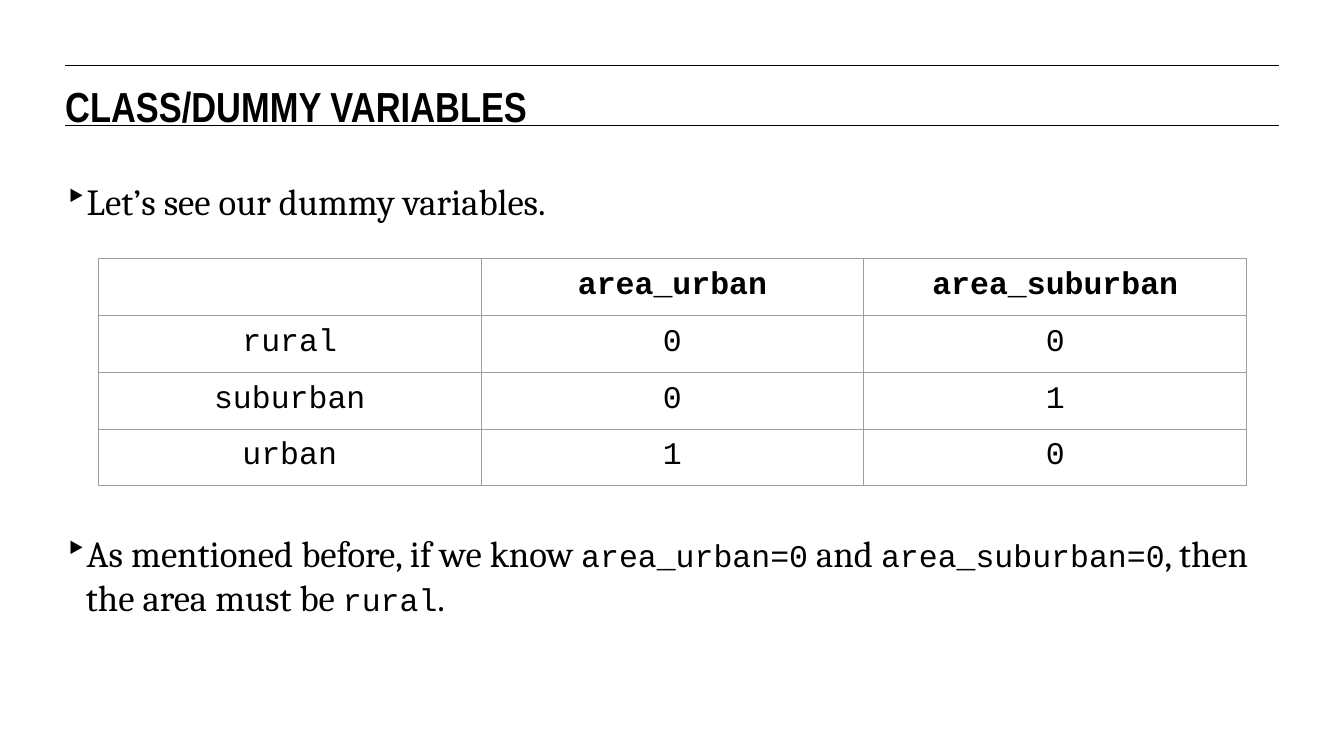
from lxml import etree
from pptx import Presentation
from pptx.dml.color import RGBColor
from pptx.enum import shapes, text
from pptx.oxml import ns
from pptx.util import Inches, Pt

TITLE = "CLASS/DUMMY VARIABLES"
ROWS = [
    ("", "area_urban", "area_suburban"),
    ("rural", "0", "0"),
    ("suburban", "0", "1"),
    ("urban", "1", "0"),
]
BODY, CODE = ("Cambria", 28), ("Courier New", 24)
BULLETS = [
    (1.89, 0.48, [("Let’s see our dummy variables.", BODY)]),
    (5.62, 0.96, [
        ("As mentioned before, if we know ", BODY), ("area_urban=0", CODE),
        (" and ", BODY), ("area_suburban=0", CODE),
        (", then the area must be ", BODY), ("rural", CODE), (".", BODY),
    ]),
]
RULES = [0.69, 1.33]
LEFT, WIDTH = 0.69, 12.84
TABLE_LEFT, TABLE_TOP, COL_W, ROW_H = 1.04, 2.74, 4.05, 0.58
CELL_INSET = 0.1
BLACK = RGBColor(0x00, 0x00, 0x00)
GRAY = RGBColor(0x9E, 0x9E, 0x9E)

prs = Presentation()
prs.slide_width, prs.slide_height = Inches(14.22), Inches(7.99)
s = prs.slides.add_slide(prs.slide_layouts[6])


def add_run(p, content, font, size, bold=False):
    r = p.add_run()
    r.text = content
    r.font.name, r.font.size, r.font.bold = font, Pt(size), bold
    r.font.color.rgb = BLACK


def add_box(top, height):
    tf = s.shapes.add_textbox(Inches(LEFT), Inches(top), Inches(WIDTH), Inches(height)).text_frame
    tf.word_wrap = True
    tf.margin_left = tf.margin_right = tf.margin_top = tf.margin_bottom = 0
    return tf.paragraphs[0]


def add_bullet(p):
    pPr = p._p.get_or_add_pPr()
    pPr.set("marL", str(Inches(0.22)))
    pPr.set("indent", str(Inches(-0.28)))
    etree.SubElement(pPr, ns.qn("a:buChar")).set("char", "‣")


def add_borders(cell):
    tcPr = cell._tc.get_or_add_tcPr()
    for i, side in enumerate(("lnL", "lnR", "lnT", "lnB")):
        ln = etree.Element(ns.qn("a:" + side), w=str(Pt(0.75)))
        fill = etree.SubElement(ln, ns.qn("a:solidFill"))
        etree.SubElement(fill, ns.qn("a:srgbClr")).set("val", str(GRAY))
        tcPr.insert(i, ln)


for y in RULES:
    rule = s.shapes.add_connector(shapes.MSO_CONNECTOR.STRAIGHT, Inches(LEFT), Inches(y),
                                  Inches(LEFT + WIDTH), Inches(y))
    rule.line.color.rgb, rule.line.width = BLACK, Pt(0.75)
    etree.SubElement(rule._element.spPr, ns.qn("a:effectLst"))

add_run(add_box(0.85, 0.47), TITLE, "Arial Narrow", 32, bold=True)

for top, height, runs in BULLETS:
    p = add_box(top, height)
    add_bullet(p)
    for content, (font, size) in runs:
        add_run(p, content, font, size)

table = s.shapes.add_table(len(ROWS), len(ROWS[0]), Inches(TABLE_LEFT), Inches(TABLE_TOP),
                           Inches(COL_W * len(ROWS[0])), Inches(ROW_H * len(ROWS))).table
table.first_row = table.horz_banding = False
for i, row in enumerate(ROWS):
    table.rows[i].height = Inches(ROW_H)
    for j, content in enumerate(row):
        cell = table.cell(i, j)
        cell.fill.background()
        cell.margin_left = cell.margin_right = Inches(CELL_INSET)
        cell.margin_top = cell.margin_bottom = Inches(CELL_INSET)
        add_borders(cell)
        if content:
            p = cell.text_frame.paragraphs[0]
            p.alignment = text.PP_ALIGN.CENTER
            add_run(p, content, *CODE, bold=i == 0)

prs.save("out.pptx")
